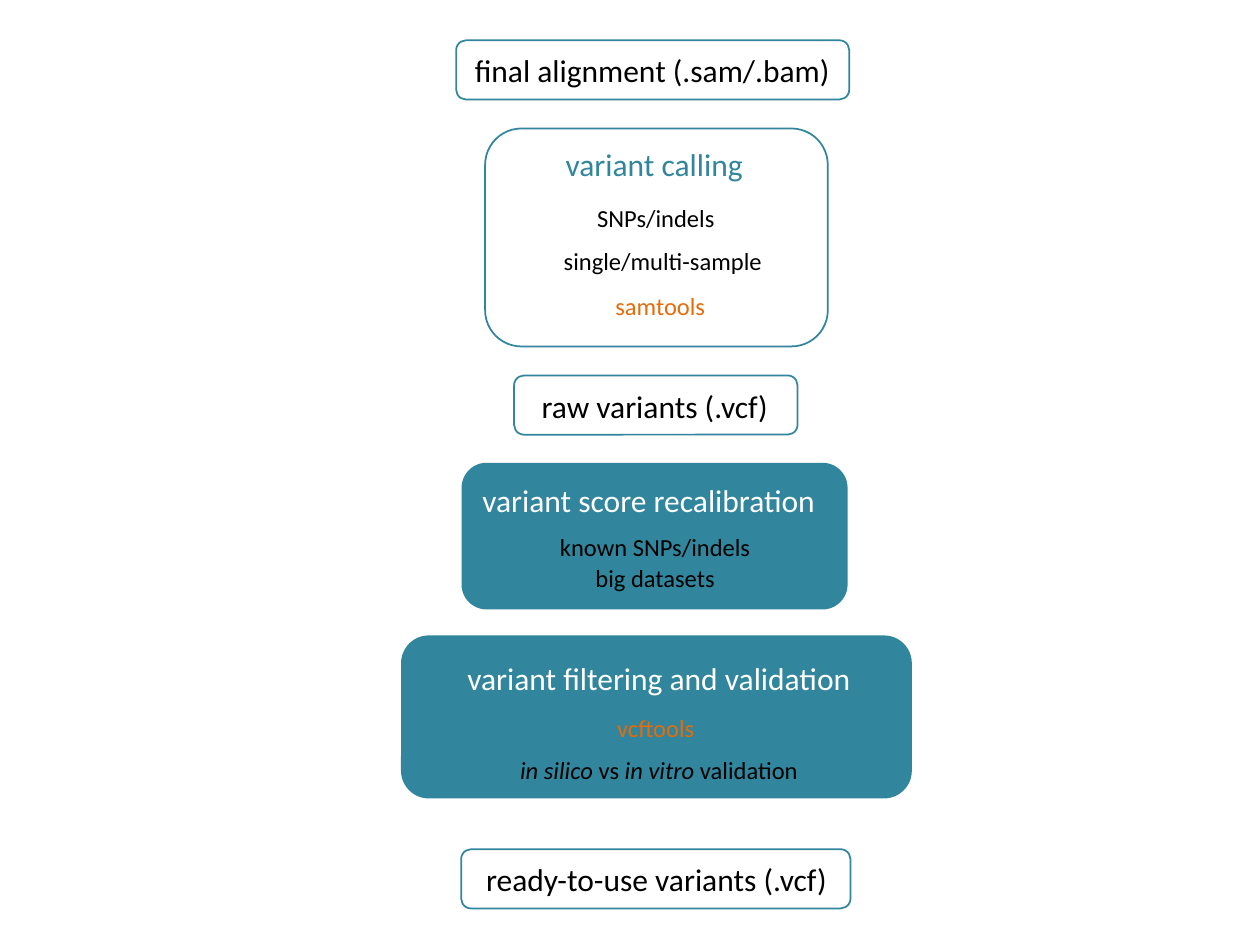
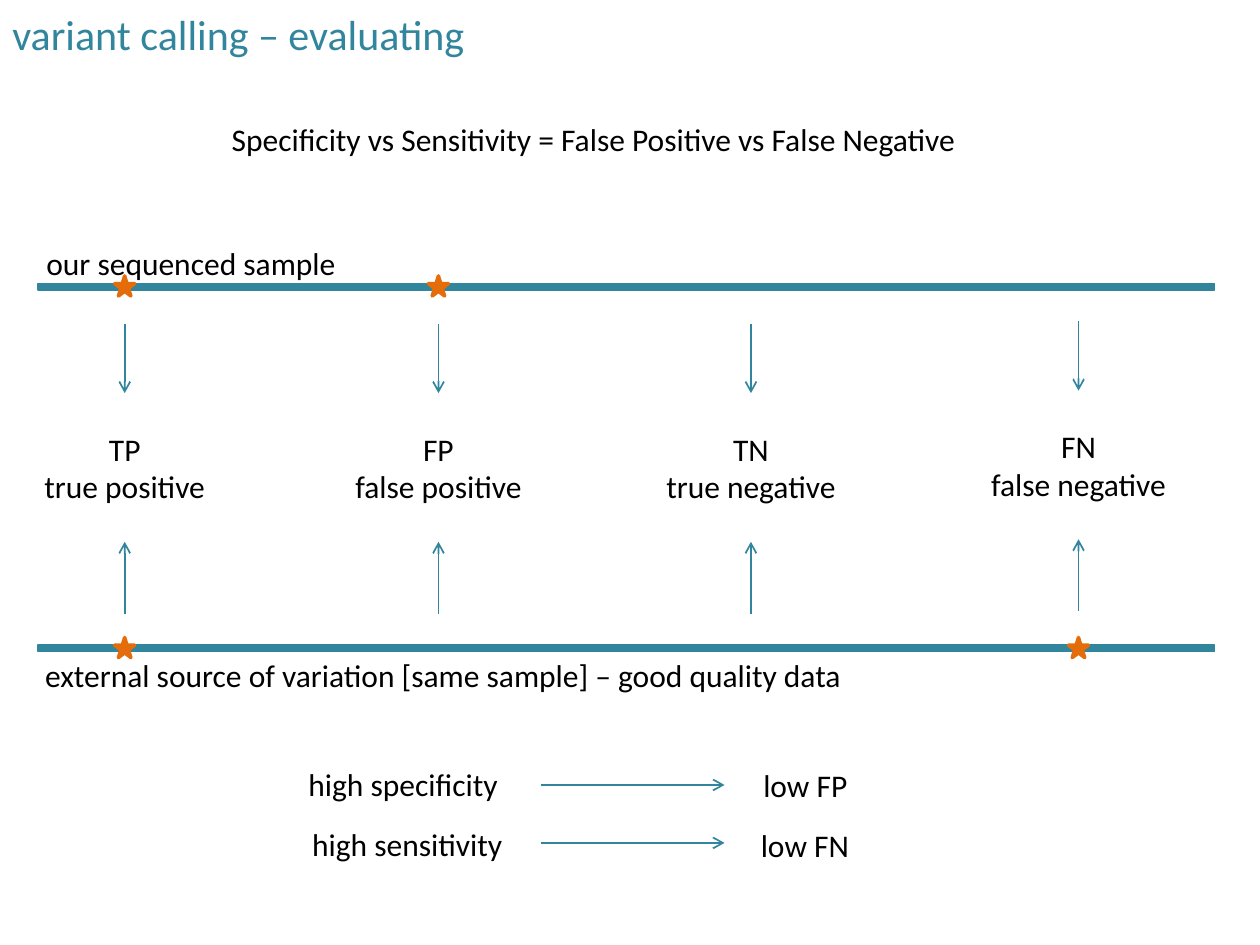
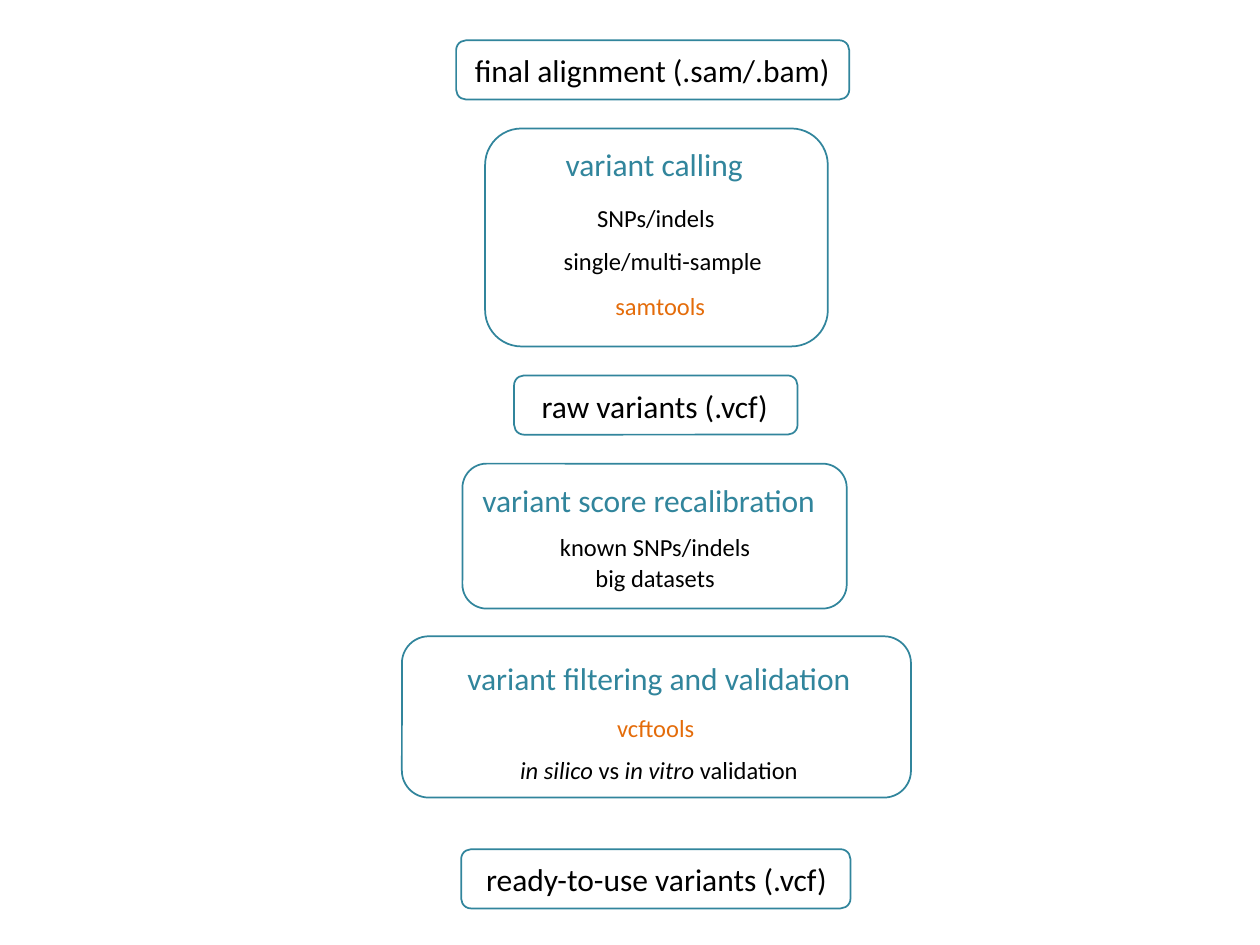
from dataclasses import dataclass

from lxml import etree
from pptx import Presentation
from pptx.dml.color import RGBColor
from pptx.enum.shapes import MSO_CONNECTOR, MSO_SHAPE
from pptx.enum.text import MSO_AUTO_SIZE, PP_ALIGN
from pptx.oxml.ns import qn
from pptx.util import Inches, Pt

LEFT, CENTER = PP_ALIGN.LEFT, PP_ALIGN.CENTER
ROUNDED, RECTANGLE, STAR = (
    MSO_SHAPE.ROUNDED_RECTANGLE, MSO_SHAPE.RECTANGLE, MSO_SHAPE.STAR_5_POINT)
STRAIGHT = MSO_CONNECTOR.STRAIGHT
FIT_TEXT = MSO_AUTO_SIZE.SHAPE_TO_FIT_TEXT


@dataclass(frozen=True)
class Theme:
    font: str = "Calibri"
    teal: RGBColor = RGBColor(0x31, 0x85, 0x9C)
    orange: RGBColor = RGBColor(0xE4, 0x6C, 0x0A)
    black: RGBColor = RGBColor(0, 0, 0)
    white: RGBColor = RGBColor(255, 255, 255)
    title: int = 24
    heading: int = 18
    detail: int = 14
    outline: int = 1
    star_outline: int = 2


THEME = Theme()


@dataclass(frozen=True)
class Line:
    """One line of text in a stage; dx and dy count from the stage's corner."""
    dx: float
    dy: float
    width: float
    text: str
    role: str = "detail"
    align: PP_ALIGN = CENTER
    height: float = 0.34


@dataclass(frozen=True)
class Stage:
    left: float
    top: float
    width: float
    height: float
    lines: tuple


def file_stage(left, top, width, dx, text_width, name):
    label = Line(dx, 0.04, text_width, name, "file", LEFT, 0.4)
    return Stage(left, top, width, 0.47, (label,))


CALLING = Stage(3.85, 1.02, 2.72, 1.73, (
    Line(0.54, 0.08, 1.62, "variant calling", "heading", LEFT, 0.4),
    Line(0.78, 0.54, 1.15, "SNPs/indels"),
    Line(0.42, 0.88, 1.98, "single/multi-sample"),
    Line(0.69, 1.24, 1.4, "samtools", "tool"),
))
RECALIBRATION = Stage(3.67, 3.68, 3.05, 1.15, (
    Line(0.06, 0.09, 3.01, "variant score recalibration", "heading", LEFT, 0.4),
    Line(0.38, 0.49, 2.3, "known SNPs/indels"),
    Line(0.58, 0.74, 1.9, "big datasets"),
))
# Text between asterisks is set in italics.
FILTERING = Stage(3.19, 5.05, 4.04, 1.28, (
    Line(0.19, 0.13, 3.7, "variant filtering and validation", "heading", CENTER, 0.4),
    Line(1.24, 0.56, 1.55, "vcftools", "tool"),
    Line(0.07, 0.89, 3.94, "*in silico *vs *in vitro *validation"),
))
PIPELINE = (
    file_stage(3.62, 0.32, 3.12, 0.05, 3.13, "final alignment (.sam/.bam)"),
    CALLING,
    file_stage(4.08, 2.98, 2.25, 0.12, 2.02, "raw variants (.vcf)"),
    RECALIBRATION,
    FILTERING,
    file_stage(3.66, 6.74, 3.09, 0.1, 2.94, "ready-to-use variants (.vcf)"),
)

# centre, vertical shift, label, variant in our sample, variant in external source
OUTCOMES = (
    (0.99, 0, ("TP", "true positive"), True, True),
    (3.48, 0, ("FP", "false positive"), True, False),
    (5.96, 0, ("TN", "true negative"), False, False),
    (8.56, -0.02, ("FN", "false negative"), False, True),
)
SAMPLE_TOP, EXTERNAL_TOP = 2.25, 5.12


def add_text(shapes, box, paragraphs, size=THEME.heading, color=THEME.black,
             align=LEFT, wrap=False):
    frame = shapes.add_textbox(*map(Inches, box)).text_frame
    frame.word_wrap = wrap
    frame.auto_size = FIT_TEXT
    for index, text in enumerate(paragraphs):
        paragraph = frame.add_paragraph() if index else frame.paragraphs[0]
        paragraph.alignment = align
        for part, piece in enumerate(text.split("*")):
            if piece:
                run = paragraph.add_run()
                run.text = piece
                run.font.name = THEME.font
                run.font.size = Pt(size)
                run.font.color.rgb = color
                run.font.italic = part % 2 == 1


def add_block(shapes, preset, box, fill, outline=THEME.teal, weight=THEME.outline):
    block = shapes.add_shape(preset, *map(Inches, box))
    block.shadow.inherit = False
    block.fill.solid()
    block.fill.fore_color.rgb = fill
    block.line.color.rgb = outline
    block.line.width = Pt(weight)


def add_arrow(shapes, *ends):
    """Draw an open-headed arrow; ends are x1, y1, x2, y2."""
    arrow = shapes.add_connector(STRAIGHT, *map(Inches, ends))
    arrow.line.color.rgb = THEME.teal
    arrow.line.width = Pt(THEME.outline)
    properties = arrow._element.spPr
    etree.SubElement(properties.find(qn("a:ln")), qn("a:tailEnd"), type="arrow")
    etree.SubElement(properties, qn("a:effectLst"))


def add_stage(slide, stage, filled):
    shapes = slide.shapes.add_group_shape().shapes
    add_block(shapes, ROUNDED, (stage.left, stage.top, stage.width, stage.height),
              THEME.teal if filled else THEME.white)
    styles = {
        "file": (THEME.heading, THEME.black),
        "heading": (THEME.heading, THEME.white if filled else THEME.teal),
        "detail": (THEME.detail, THEME.black),
        "tool": (THEME.detail, THEME.orange),
    }
    for line in stage.lines:
        box = (stage.left + line.dx, stage.top + line.dy, line.width, line.height)
        add_text(shapes, box, (line.text,), *styles[line.role], line.align, wrap=True)


def pipeline_slide(slide, filled_stages=()):
    for stage in PIPELINE:
        add_stage(slide, stage, stage in filled_stages)


def add_sequence(shapes, top, label, label_box, star_centers):
    """Draw a sequence bar, with a star at each variant and its label."""
    add_block(shapes, RECTANGLE, (0.3, top, 9.34, 0.05), THEME.teal)
    for center in star_centers:
        add_block(shapes, STAR, (center - 0.08, top - 0.06, 0.16, 0.16),
                  THEME.orange, THEME.orange, THEME.star_outline)
    add_text(shapes, label_box, (label,))


def add_outcome(shapes, center, shift, label):
    """Place an outcome's label between arrows from the two sequences."""
    add_arrow(shapes, center, 2.57 + shift, center, 3.12 + shift)
    add_text(shapes, (center - 0.8, 3.36 + shift, 1.6, 0.71), label, align=CENTER)
    add_arrow(shapes, center, 4.87 + shift, center, 4.3 + shift)


def add_implication(shapes, top, arrow_y, cause, cause_left, effect, effect_left):
    add_text(shapes, (cause_left, top, 1.73, 0.4), (cause,))
    add_arrow(shapes, 4.29, arrow_y, 5.75, arrow_y)
    add_text(shapes, (effect_left, top + 0.01, 0.9, 0.4), (effect,))


def evaluation_slide(slide):
    shapes = slide.shapes
    add_text(shapes, (0, 0.02, 3.83, 0.5), ("variant calling – evaluating",),
             THEME.title, THEME.teal)
    add_text(shapes, (1.74, 0.9, 6.01, 0.4),
             ("Specificity vs Sensitivity = False Positive vs False Negative",))
    add_sequence(shapes, SAMPLE_TOP, "our sequenced sample", (0.27, 1.89, 2.53, 0.4),
                 [center for center, _, _, in_sample, _ in OUTCOMES if in_sample])
    add_sequence(shapes, EXTERNAL_TOP,
                 "external source of variation [same sample] – good quality data",
                 (0.26, 5.16, 6.6, 0.4),
                 [center for center, _, _, _, in_external in OUTCOMES if in_external])
    for center, shift, label, _, _ in OUTCOMES:
        add_outcome(shapes, center, shift, label)
    add_implication(shapes, 6.02, 6.23, "high specificity", 2.35, "low FP", 5.96)
    add_implication(shapes, 6.5, 6.69, "high sensitivity", 2.38, "low FN", 5.94)


def main():
    deck = Presentation()
    deck.slide_width, deck.slide_height = Inches(10), Inches(7.5)
    blank = deck.slide_layouts[6]
    pipeline_slide(deck.slides.add_slide(blank), (RECALIBRATION, FILTERING))
    evaluation_slide(deck.slides.add_slide(blank))
    pipeline_slide(deck.slides.add_slide(blank))
    deck.save("out.pptx")


if __name__ == "__main__":
    main()
